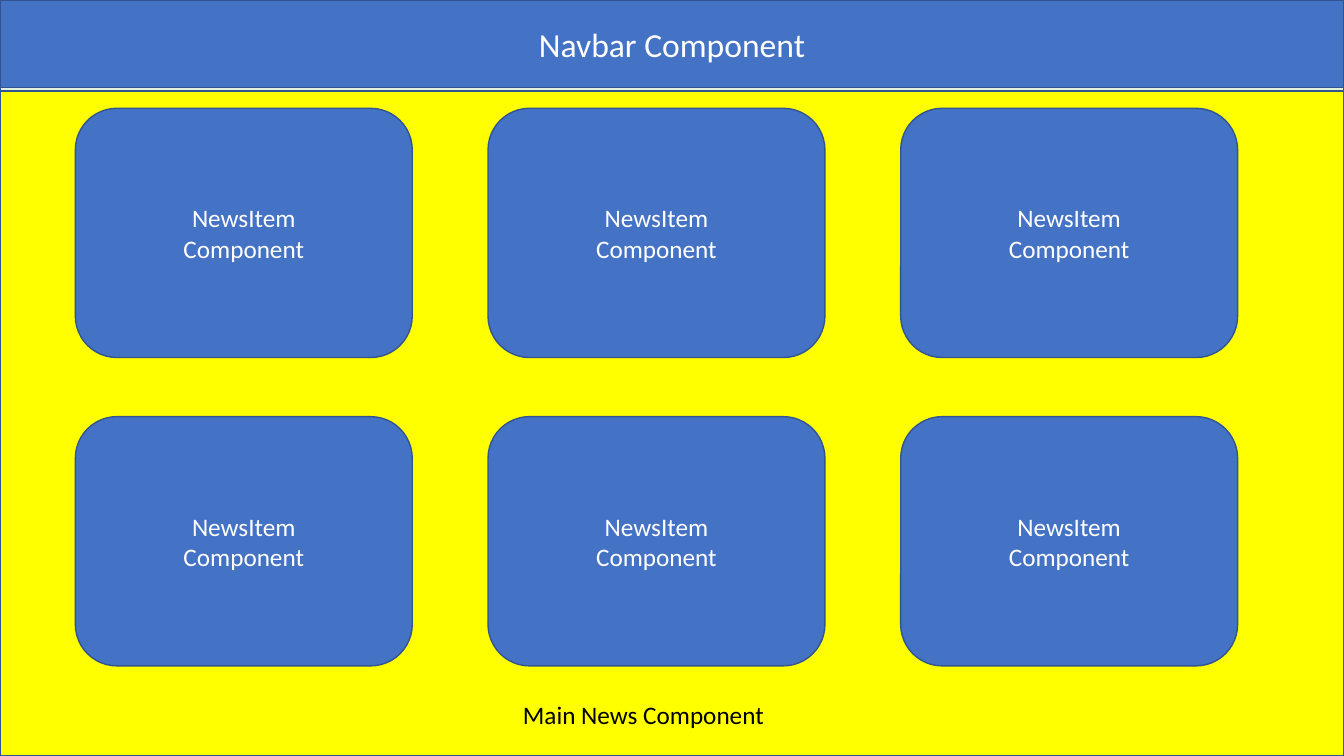
from pptx import Presentation
from pptx.dml.color import RGBColor
from pptx.enum import shapes, text
from pptx.util import Cm, Pt

NAVBAR = "Navbar Component"
CARD = ["NewsItem", "Component"]
CAPTION = "Main News Component"
ROWS, COLUMNS = 2, 3

BLUE = RGBColor(0x44, 0x72, 0xC4)
DARK_BLUE = RGBColor(0x32, 0x54, 0x91)
YELLOW = RGBColor(0xFF, 0xFF, 0x00)
PALE_GREEN = RGBColor(0xE2, 0xF0, 0xD9)
WHITE = RGBColor(0xFF, 0xFF, 0xFF)
BLACK = RGBColor(0, 0, 0)

# Lengths in centimetres
SLIDE_W, SLIDE_H = 33.87, 19.05
NAVBAR_H, MAIN_TOP = 2.21, 2.29
CARD_LEFT, CARD_TOP, CARD_W, CARD_H = 1.9, 2.73, 8.49, 6.28
PITCH_X, PITCH_Y = 10.4, 7.77

RECT = shapes.MSO_SHAPE.RECTANGLE
ROUNDED = shapes.MSO_SHAPE.ROUNDED_RECTANGLE


def paint(sp, fill):
    sp.fill.solid()
    sp.fill.fore_color.rgb = fill
    sp.line.color.rgb = DARK_BLUE
    sp.line.width = Pt(1)


def add_box(s, kind, box, fill):
    sp = s.shapes.add_shape(kind, *map(Cm, box))
    sp.shadow.inherit = False
    paint(sp, fill)
    return sp


def write(sp, lines, size, color, align, anchor):
    tf = sp.text_frame
    frame_format = {"word_wrap": True, "vertical_anchor": anchor,
                    "auto_size": text.MSO_AUTO_SIZE.NONE}
    for name, value in frame_format.items():
        setattr(tf, name, value)
    tf.text = "\n".join(lines)
    for p in tf.paragraphs:
        p.alignment = align
        for r in p.runs:
            for name, value in {"name": "Calibri", "size": Pt(size)}.items():
                setattr(r.font, name, value)
            r.font.color.rgb = color


def main():
    prs = Presentation()
    prs.slide_width, prs.slide_height = Cm(SLIDE_W), Cm(SLIDE_H)
    s = prs.slides.add_slide(prs.slide_layouts[5])
    center, middle = text.PP_ALIGN.CENTER, text.MSO_ANCHOR.MIDDLE

    backdrop = add_box(s, RECT, (0, 0, SLIDE_W, SLIDE_H), PALE_GREEN)

    navbar = s.shapes.title
    place = {"left": 0, "top": 0, "width": SLIDE_W, "height": NAVBAR_H}
    for name, value in place.items():
        setattr(navbar, name, Cm(value))
    paint(navbar, BLUE)
    write(navbar, [NAVBAR], 24, WHITE, center, middle)
    backdrop.element.addnext(navbar.element)  # bring the navbar in front

    add_box(s, RECT, (0, MAIN_TOP, SLIDE_W, SLIDE_H - MAIN_TOP), YELLOW)

    for row in range(ROWS):
        for column in range(COLUMNS):
            box = (CARD_LEFT + column * PITCH_X, CARD_TOP + row * PITCH_Y,
                   CARD_W, CARD_H)
            card = add_box(s, ROUNDED, box, BLUE)
            write(card, CARD, 18, WHITE, center, middle)

    caption = s.shapes.add_textbox(Cm(12.93), Cm(17.5), Cm(11.38), Cm(1.5))
    write(caption, [CAPTION], 18, BLACK, text.PP_ALIGN.LEFT, text.MSO_ANCHOR.TOP)

    prs.save("out.pptx")


if __name__ == "__main__":
    main()
